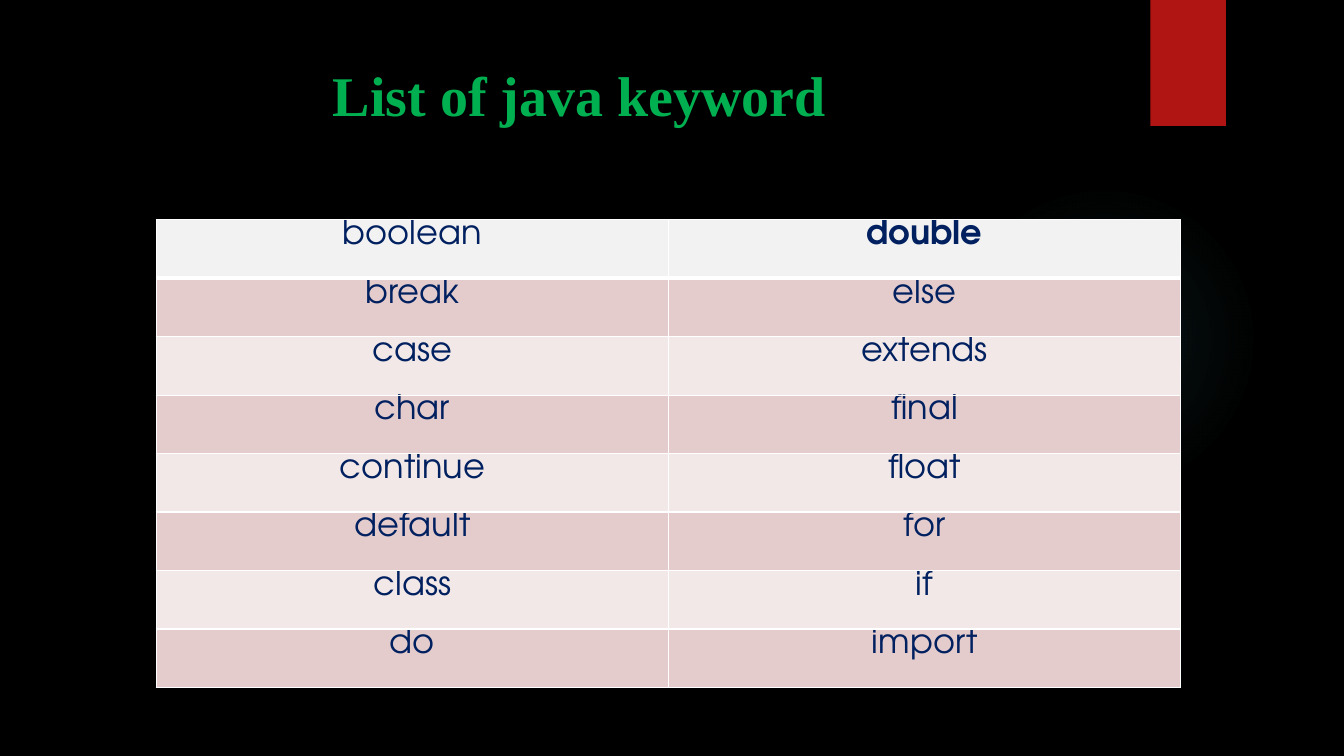
from pptx import Presentation
from pptx.dml.color import RGBColor
from pptx.enum.shapes import MSO_SHAPE
from pptx.enum.text import MSO_ANCHOR, PP_ALIGN
from pptx.oxml import parse_xml
from pptx.oxml.ns import nsdecls
from pptx.util import Inches, Pt

RECT, OVAL = MSO_SHAPE.RECTANGLE, MSO_SHAPE.OVAL
TOP, MID = MSO_ANCHOR.TOP, PP_ALIGN.CENTER

TITLE = "List of java keyword "
WORDS = [
    ("boolean", "double"),
    ("break", "else"),
    ("case", "extends"),
    ("char", "final"),
    ("continue", "float"),
    ("default", "for"),
    ("class", "if"),
    ("do", "import"),
]
BOLD = "double"
HUES = {
    "back": "000000", "glow": "50B9C1", "flag": "B01513", "title": "00B050",
    "word": "002060", "head": "F2F2F2", "odd": "E4CCCC", "even": "F2E8E7",
    "rule": "FFFFFF",
}
GLOW = [(0, 7), (36, 6), (69, 0)]
LEFT, HIGH, COL, ROW = 1.55, 2.18, 5.08, 0.58


def tint(name):
    return RGBColor.from_string(HUES[name])


def style(par, face, size, hue, bold):
    par.alignment = MID
    font = par.runs[0].font
    font.name, font.size, font.bold = face, Pt(size), bold
    font.color.rgb = tint(hue)


def shape(kind, *box):
    item = slide.shapes.add_shape(kind, *map(Inches, box))
    item.line.fill.background()
    return item


def border(cell, first):
    props = cell._tc.get_or_add_tcPr()
    for spot, side in enumerate("LRTB"):
        thick = first and side == "B" or not first and side == "T" and cell in second
        width = Pt(3 if thick else 1)
        props.insert(spot, parse_xml(
            f'<a:ln{side} {nsdecls("a")} w="{width}"><a:solidFill>'
            f'<a:srgbClr val="{HUES["rule"]}"/></a:solidFill></a:ln{side}>'))


deck = Presentation()
deck.slide_width, deck.slide_height = Inches(13.33), Inches(7.5)
slide = deck.slides.add_slide(deck.slide_layouts[6])
slide.background.fill.solid()
slide.background.fill.fore_color.rgb = tint("back")

glow = shape(OVAL, 9.41, 1.83, 3.08, 3.08)
glow.shadow.inherit = False
stops = "".join(
    f'<a:gs pos="{pos * 1000}"><a:srgbClr val="{HUES["glow"]}">'
    f'<a:alpha val="{alpha * 1000}"/></a:srgbClr></a:gs>' for pos, alpha in GLOW)
glow._element.spPr.insert(2, parse_xml(
    f'<a:gradFill {nsdecls("a")}><a:gsLst>{stops}</a:gsLst><a:path path="circle">'
    '<a:fillToRect l="50000" t="50000" r="50000" b="50000"/></a:path></a:gradFill>'))

flag = shape(RECT, 11.41, 0, 0.75, 1.25)
flag.fill.solid()
flag.fill.fore_color.rgb = tint("flag")
flag._element.spPr.append(parse_xml(
    f'<a:effectLst {nsdecls("a")}><a:outerShdw blurRad="{Pt(3)}" dist="{Pt(2)}" '
    f'dir="5400000" rotWithShape="0"><a:srgbClr val="{HUES["back"]}">'
    '<a:alpha val="45000"/></a:srgbClr></a:outerShdw></a:effectLst>'))

frame = slide.shapes.add_textbox(*map(Inches, (0.64, 0.5, 10.35, 1.04))).text_frame
frame.word_wrap = True
frame.vertical_anchor = TOP
frame.margin_top = Inches(0.1)
frame.text = TITLE
style(frame.paragraphs[0], "Times New Roman", 40, "title", True)

rows, cols = len(WORDS), len(WORDS[0])
size = map(Inches, (LEFT, HIGH, COL * cols, ROW * rows))
grid = slide.shapes.add_table(rows, cols, *size).table
second = [grid.cell(1, c) for c in range(cols)]
for r, line in enumerate(WORDS):
    grid.rows[r].height = Inches(ROW)
    for c, word in enumerate(line):
        cell = grid.cell(r, c)
        cell.text = word
        cell.margin_top = cell.margin_bottom = 0
        cell.vertical_anchor = TOP
        style(cell.text_frame.paragraphs[0], "TeX Gyre Adventor", 24, "word", word == BOLD)
        cell.fill.solid()
        cell.fill.fore_color.rgb = tint("head" if r == 0 else "odd" if r % 2 else "even")
        border(cell, r == 0)

deck.save("out.pptx")
